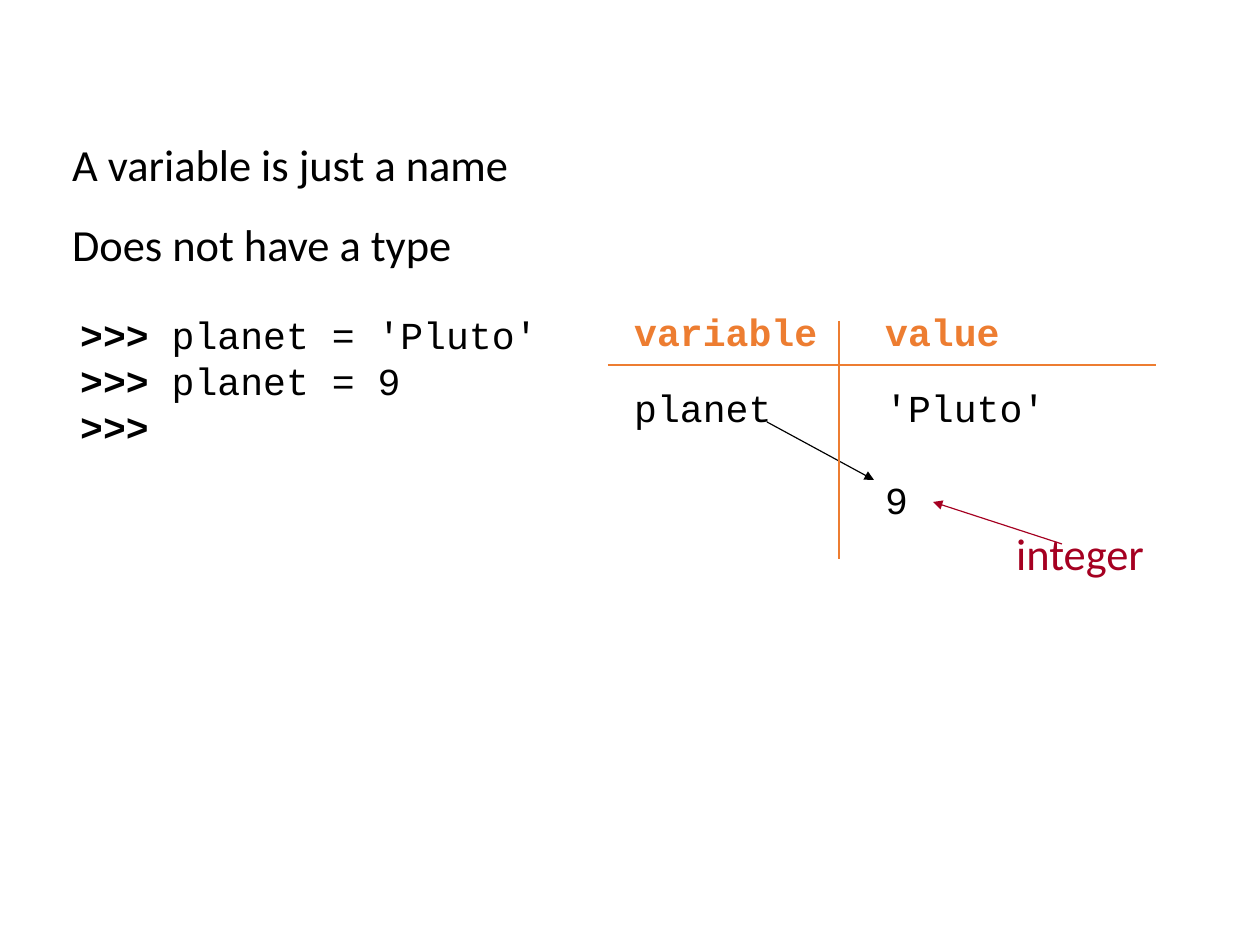
import pptx
import pptx.dml.color
import pptx.enum.shapes
import pptx.enum.text
import pptx.oxml
import pptx.oxml.ns
import pptx.util
from dataclasses import dataclass

PX = 8000  # EMU per px
PAGE_SIZE = (1260, 945)


@dataclass(frozen=True)
class Theme:
    ink: str = "000000"
    accent: str = "ED7D31"
    callout: str = "A50021"
    prose_font: str = "Calibri"
    code_font: str = "Courier New"
    prose_size: int = 28
    code_size: int = 24
    line_width: float = 0.75


THEME = Theme()
PROMPT = ">>>"
STATEMENTS = [" planet = 'Pluto'", " planet = 9", ""]
POINTS = ["A variable is just a name", "Does not have a type"]
TABLE = {"variable": ["planet"], "value": ["'Pluto'", "9"]}

PROSE = {"name": THEME.prose_font, "size": THEME.prose_size, "color": THEME.ink}
CODE = {"name": THEME.code_font, "size": THEME.code_size, "color": THEME.ink, "bold": False}
STRONG = CODE | {"bold": True}
HEADER = STRONG | {"color": THEME.accent}
CALLOUT = PROSE | {"color": THEME.callout}

COLUMN_LEFTS = (623, 874)
COLUMN_WIDTH = 220
HEADER_TOP, HEADER_HEIGHT = 307, 57
CELLS_TOP, CELLS_HEIGHT = 379, 238
# start, end, colour, arrowhead at end
LINES = [
    ((767, 422), (874, 480), THEME.ink, True),
    ((608, 365), (1156, 365), THEME.accent, False),
    ((839, 321), (839, 559), THEME.accent, False),
    ((1062, 544), (933, 502), THEME.callout, True),
]


def emu(*lengths):
    return [length * PX for length in lengths]


def style_font(font, style):
    values = dict(style)
    font.color.rgb = pptx.dml.color.RGBColor.from_string(values.pop("color"))
    values["size"] = pptx.util.Pt(values["size"])
    for name, value in values.items():
        setattr(font, name, value)


def add_text(page, place, paragraphs, **spacing):
    """Each paragraph is a list of (text, style) spans."""
    frame = page.shapes.add_textbox(*emu(*place)).text_frame
    frame.word_wrap = True
    frame.auto_size = pptx.enum.text.MSO_AUTO_SIZE.NONE
    for index, spans in enumerate(paragraphs):
        para = frame.paragraphs[0] if index == 0 else frame.add_paragraph()
        for name, value in spacing.items():
            if index or name != "space_before":
                setattr(para, name, value)
        for text, style in spans:
            span = para.add_run()
            span.text = text
            style_font(span.font, style)


def add_line(page, start, end, color, arrow):
    line = page.shapes.add_connector(
        pptx.enum.shapes.MSO_CONNECTOR.STRAIGHT, *emu(*start, *end))
    line.line.color.rgb = pptx.dml.color.RGBColor.from_string(color)
    line.line.width = pptx.util.Pt(THEME.line_width)
    if arrow:
        head = pptx.oxml.parse_xml(
            f'<a:tailEnd {pptx.oxml.ns.nsdecls("a")} type="triangle"/>')
        line.line._get_or_add_ln().append(head)
    line._element.spPr.append(
        pptx.oxml.parse_xml(f'<a:effectLst {pptx.oxml.ns.nsdecls("a")}/>'))


def main():
    deck = pptx.Presentation()
    deck.slide_width, deck.slide_height = emu(*PAGE_SIZE)
    page = deck.slides.add_slide(deck.slide_layouts[6])

    add_text(page, (61, 105, 574, 171), [[(point, PROSE)] for point in POINTS],
             line_spacing=1.5)
    session = [[(PROMPT, STRONG)] + ([(statement, CODE)] if statement else [])
               for statement in STATEMENTS]
    add_text(page, (69, 306, 490, 367), session)

    for left, (title, cells) in zip(COLUMN_LEFTS, TABLE.items()):
        add_text(page, (left, HEADER_TOP, COLUMN_WIDTH, HEADER_HEIGHT),
                 [[(title, HEADER)]], line_spacing=0.93)
        add_text(page, (left, CELLS_TOP, COLUMN_WIDTH, CELLS_HEIGHT),
                 [[(cell, CODE)] for cell in cells], space_before=pptx.util.Pt(29))

    add_text(page, (1005, 494, 250, 91), [[("integer", CALLOUT)]], line_spacing=1.5)
    for line in LINES:
        add_line(page, *line)

    deck.save("out.pptx")


if __name__ == "__main__":
    main()
